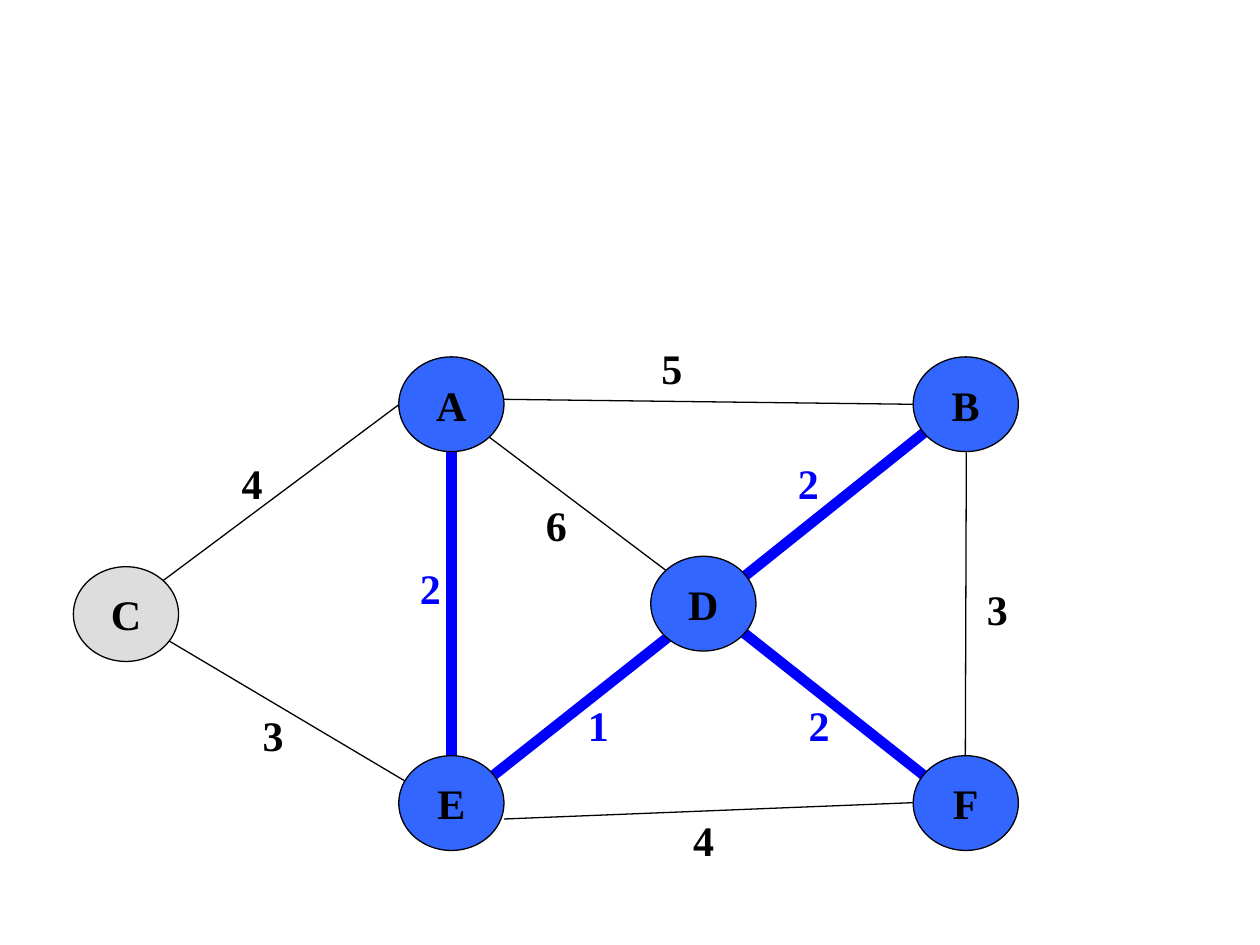
from lxml import etree
from pptx import Presentation
from pptx.dml.color import RGBColor
from pptx.enum.shapes import MSO_CONNECTOR, MSO_SHAPE
from pptx.enum.text import MSO_ANCHOR, PP_ALIGN
from pptx.oxml.ns import qn
from pptx.util import Cm, Pt

LINE = MSO_CONNECTOR.STRAIGHT
OVAL = MSO_SHAPE.OVAL
MIDDLE = MSO_ANCHOR.MIDDLE
CENTER = PP_ALIGN.CENTER

BLACK, BLUE, FILL, GREY = "000000", "0000FF", "3366FF", "DDDDDD"
WIDE, HIGH = 2.12, 1.91
LABEL = 1.27
FONT = {"name": "Times New Roman", "size": Pt(24), "bold": True}


def rgb(code):
    return RGBColor.from_string(code)


def write(frame, text, color):
    """Put one centred bold line of text in the frame."""
    par = frame.paragraphs[0]
    par.text = text
    par.alignment = CENTER
    for key, value in FONT.items():
        setattr(par.font, key, value)
    par.font.color.rgb = rgb(color)


# Name: centre x, centre y, fill
nodes = {
    "C": (2.54, 12.38, GREY),
    "F": (19.47, 16.19, FILL),
    "E": (9.1, 16.19, FILL),
    "A": (9.1, 8.15, FILL),
    "B": (19.47, 8.15, FILL),
    "D": (14.18, 12.17, FILL),
}

# Line ends, weight, left and top of the weight, on the tree or not
edges = [
    ((9.1, 8.05, 9.1, 16.3), "2", (8.04, 11.22), True),
    ((14.39, 12.28, 19.47, 16.3), "2", (15.88, 13.97), True),
    ((14.18, 12.28, 9.1, 16.3), "1", (11.43, 13.97), True),
    ((14.18, 12.28, 19.47, 8.05), "2", (15.66, 9.1), True),
    ((2.33, 12.28, 9.1, 16.3), "3", (4.87, 14.18), False),
    ((8.05, 8.15, 3.28, 11.71), "4", (4.45, 9.1), False),
    ((9.86, 8.81, 13.44, 11.51), "6", (10.58, 9.95), False),
    ((10.16, 16.51, 18.42, 16.18), "4", (13.55, 16.3), False),
    ((19.48, 9.12, 19.46, 15.24), "3", (19.47, 11.64), False),
    ((10.16, 8.05, 18.42, 8.15), "5", (12.91, 6.77), False),
]

prs = Presentation()
prs.slide_width, prs.slide_height = Cm(25.4), Cm(19.05)
slide = prs.slides.add_slide(prs.slide_layouts[6])
shapes = slide.shapes

for ends, weight, spot, tree in edges:
    edge = shapes.add_connector(LINE, *[Cm(end) for end in ends])
    edge.line.color.rgb = rgb(BLUE if tree else BLACK)
    edge.line.width = Pt(6 if tree else 0.75)
    etree.SubElement(edge._element.spPr, qn("a:effectLst"))

for name, (x, y, fill) in nodes.items():
    node = shapes.add_shape(OVAL, Cm(x - WIDE / 2), Cm(y - HIGH / 2), Cm(WIDE), Cm(HIGH))
    node.shadow.inherit = False
    node.fill.solid()
    node.fill.fore_color.rgb = rgb(fill)
    node.line.color.rgb = rgb(BLACK)
    node.line.width = Pt(0.75)
    node.text_frame.word_wrap = False
    node.text_frame.vertical_anchor = MIDDLE
    write(node.text_frame, name, BLACK)

for ends, weight, (left, top), tree in edges:
    box = shapes.add_textbox(Cm(left), Cm(top), Cm(LABEL), Cm(LABEL))
    box.text_frame.word_wrap = True
    write(box.text_frame, weight, BLUE if tree else BLACK)

prs.save("out.pptx")
